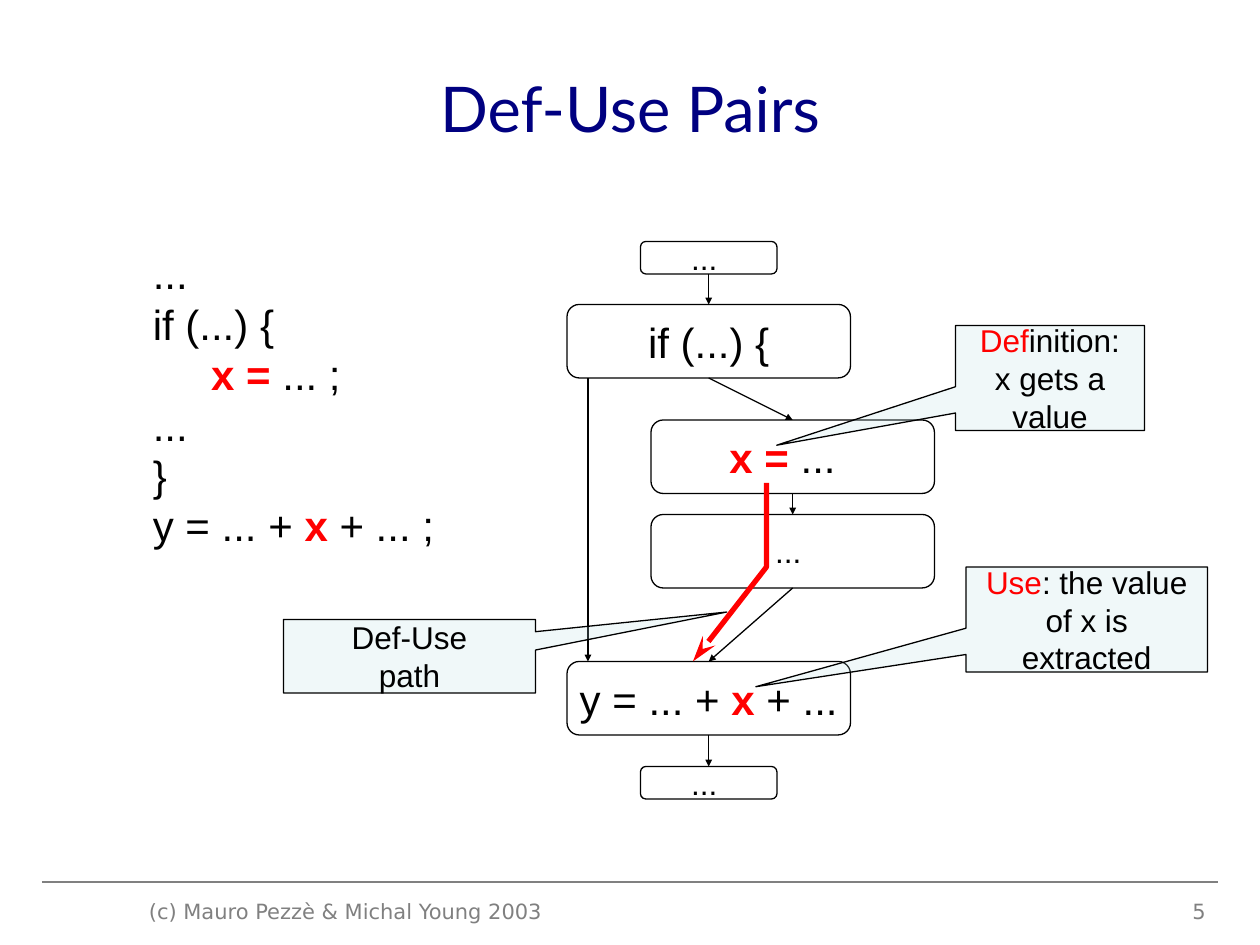
from typing import NamedTuple

from lxml import etree
from pptx import Presentation
from pptx.dml.color import RGBColor
from pptx.enum.shapes import MSO_CONNECTOR, MSO_SHAPE
from pptx.enum.text import MSO_ANCHOR, PP_ALIGN
from pptx.oxml.ns import qn
from pptx.util import Inches, Pt

LEFT, CENTER, RIGHT = PP_ALIGN.LEFT, PP_ALIGN.CENTER, PP_ALIGN.RIGHT
TOP, MIDDLE, BOTTOM = MSO_ANCHOR.TOP, MSO_ANCHOR.MIDDLE, MSO_ANCHOR.BOTTOM
ROUNDED, CALLOUT = MSO_SHAPE.ROUNDED_RECTANGLE, MSO_SHAPE.RECTANGULAR_CALLOUT
STRAIGHT = MSO_CONNECTOR.STRAIGHT
TOP_SITE, BOTTOM_SITE = 0, 2

BLACK, RED, GRAY, NAVY, PALE = "000000", "FF0000", "808080", "000080", "BBE0E3"
COLUMNS, ROWS = 120, 90  # grid cells are a twelfth of an inch
CELL = Inches(1) // 12


class Run(NamedTuple):
    text: str
    color: str = BLACK
    bold: bool = False
    size: float | None = None


class Area(NamedTuple):
    column: float
    row: float
    columns: float
    rows: float


class Arrow(NamedTuple):
    kind: str
    width: str
    length: str


class Node(NamedTuple):
    key: str
    area: Area
    runs: list[Run]
    size: float = 24


class Note(NamedTuple):
    area: Area
    tip: tuple[float, float]
    paragraphs: list[list[Run]]


FLOW_ARROW = Arrow("triangle", "sm", "sm")
PATH_ARROW = Arrow("stealth", "med", "lg")
DOTS = [Run("... ")]
NODES = [
    Node("start", Area(61, 23, 13, 3.1), DOTS, 18),
    Node("if", Area(54, 29, 27, 7), [Run("if (...) {")]),
    Node("definition", Area(62, 40, 27, 7),
         [Run("x = ", RED, True), Run("... "), Run(" ", size=18)]),
    Node("body", Area(62, 49, 27, 7), DOTS, 18),
    Node("use", Area(54, 63, 27, 7),
         [Run("y = ... + "), Run("x", RED, True), Run(" + ...")]),
    Node("end", Area(61, 73, 13, 3.1), DOTS, 18),
]
FLOWS = [("start", "if"), ("if", "definition"), ("definition", "body"),
         ("body", "use"), ("use", "end")]
BRANCH_SKIPPED = ((56, 36), (56, 63))
DEF_USE_PATH = [(73, 46), (73, 54), (66, 63)]
NOTES = [
    Note(Area(91, 31, 18, 10), (-1.446, 0.64),
         [[Run("Def", RED), Run("inition: x gets a value")]]),
    Note(Area(92, 54, 23, 10), (-1.37, 0.64),
         [[Run("Use", RED), Run(": the value of x is extracted")]]),
    Note(Area(27, 59, 24, 7), (1.259, -0.601), [[Run("Def-Use")], [Run("path")]]),
]
CODE = [
    [Run("...")],
    [Run("if (...) {")],
    [Run("     "), Run("x = ", RED, True), Run("... ;")],
    [Run("...")],
    [Run("}")],
    [Run("y = ... + "), Run("x", RED, True), Run(" + ... ;")],
]


def cells(*values: float) -> list[int]:
    return [round(value * CELL) for value in values]


def rgb(color: str) -> RGBColor:
    return RGBColor.from_string(color)


def write(frame, paragraphs: list[list[Run]], *, size: float, font: str = "Arial",
          align=CENTER, anchor=MIDDLE, wrap: bool = True, inset: float = 0.1) -> None:
    frame.word_wrap = wrap
    frame.vertical_anchor = anchor
    frame.margin_left = Inches(inset)
    for index, runs in enumerate(paragraphs):
        paragraph = frame.add_paragraph() if index else frame.paragraphs[0]
        paragraph.alignment = align
        for item in runs:
            run = paragraph.add_run()
            run.text = item.text
            run.font.name = font
            run.font.size = Pt(item.size or size)
            run.font.bold = item.bold
            run.font.color.rgb = rgb(item.color)


def outline(shape, color: str = BLACK, width: float = 0.75,
            arrow: Arrow | None = None) -> None:
    shape.line.color.rgb = rgb(color)
    shape.line.width = Pt(width)
    if arrow:
        etree.SubElement(shape.line._get_or_add_ln(), qn("a:tailEnd"),
                         type=arrow.kind, w=arrow.width, len=arrow.length)


def draw_line(slide, start: tuple, end: tuple, color: str = BLACK,
              arrow: Arrow | None = None):
    line = slide.shapes.add_connector(STRAIGHT, *cells(*start, *end))
    outline(line, color, arrow=arrow)
    etree.SubElement(line._element.spPr, qn("a:effectLst"))
    return line


def draw_node(slide, node: Node):
    box = slide.shapes.add_shape(ROUNDED, *cells(*node.area))
    box.shadow.inherit = False
    box.fill.background()
    outline(box)
    write(box.text_frame, [node.runs], size=node.size, wrap=False)
    return box


def draw_note(slide, note: Note) -> None:
    callout = slide.shapes.add_shape(CALLOUT, *cells(*note.area))
    callout.shadow.inherit = False
    callout.adjustments[0], callout.adjustments[1] = note.tip
    callout.fill.solid()
    callout.fill.fore_color.rgb = rgb(PALE)
    tint = callout._element.spPr.find(f"{qn('a:solidFill')}/{qn('a:srgbClr')}")
    etree.SubElement(tint, qn("a:alpha"), val="21000")
    outline(callout)
    write(callout.text_frame, note.paragraphs, size=18)


def draw_def_use_path(slide) -> None:
    start, *rest = [tuple(cells(*point)) for point in DEF_USE_PATH]
    builder = slide.shapes.build_freeform(*start)
    builder.add_line_segments(rest, close=False)
    path = builder.convert_to_shape()
    path.shadow.inherit = False
    path.fill.background()
    outline(path, RED, 3, PATH_ARROW)


def add_text(slide, area: Area, paragraphs: list[list[Run]], **style) -> None:
    box = slide.shapes.add_textbox(*cells(*area))
    write(box.text_frame, paragraphs, **style)


def main() -> None:
    deck = Presentation()
    deck.slide_width, deck.slide_height = cells(COLUMNS, ROWS)
    slide = deck.slides.add_slide(deck.slide_layouts[5])

    draw_line(slide, (4, 84), (116, 84), GRAY)
    title = slide.shapes.title
    title.left, title.top, title.width, title.height = cells(6, 3, 108, 14.4)
    write(title.text_frame, [[Run("Def-Use Pairs", NAVY)]], size=36, font="Lato")
    add_text(slide, Area(7, 23, 43, 30), CODE, size=24, align=LEFT, anchor=BOTTOM,
             inset=0.63)

    boxes = {node.key: draw_node(slide, node) for node in NODES}
    for source, target in FLOWS:
        flow = draw_line(slide, (0, 0), (1, 1), arrow=FLOW_ARROW)
        flow.begin_connect(boxes[source], BOTTOM_SITE)
        flow.end_connect(boxes[target], TOP_SITE)
    draw_line(slide, *BRANCH_SKIPPED, arrow=FLOW_ARROW)

    for note in NOTES:
        draw_note(slide, note)
    draw_def_use_path(slide)

    footer = {"size": 12, "font": "DejaVu Sans", "anchor": TOP}
    add_text(slide, Area(13, 85, 42, 3.25),
             [[Run("(c) Mauro Pezzè & Michal Young 2003", GRAY)]], align=LEFT, **footer)
    add_text(slide, Area(88, 85, 28, 3.25), [[Run("5", GRAY)]], align=RIGHT, **footer)
    deck.save("out.pptx")


if __name__ == "__main__":
    main()
